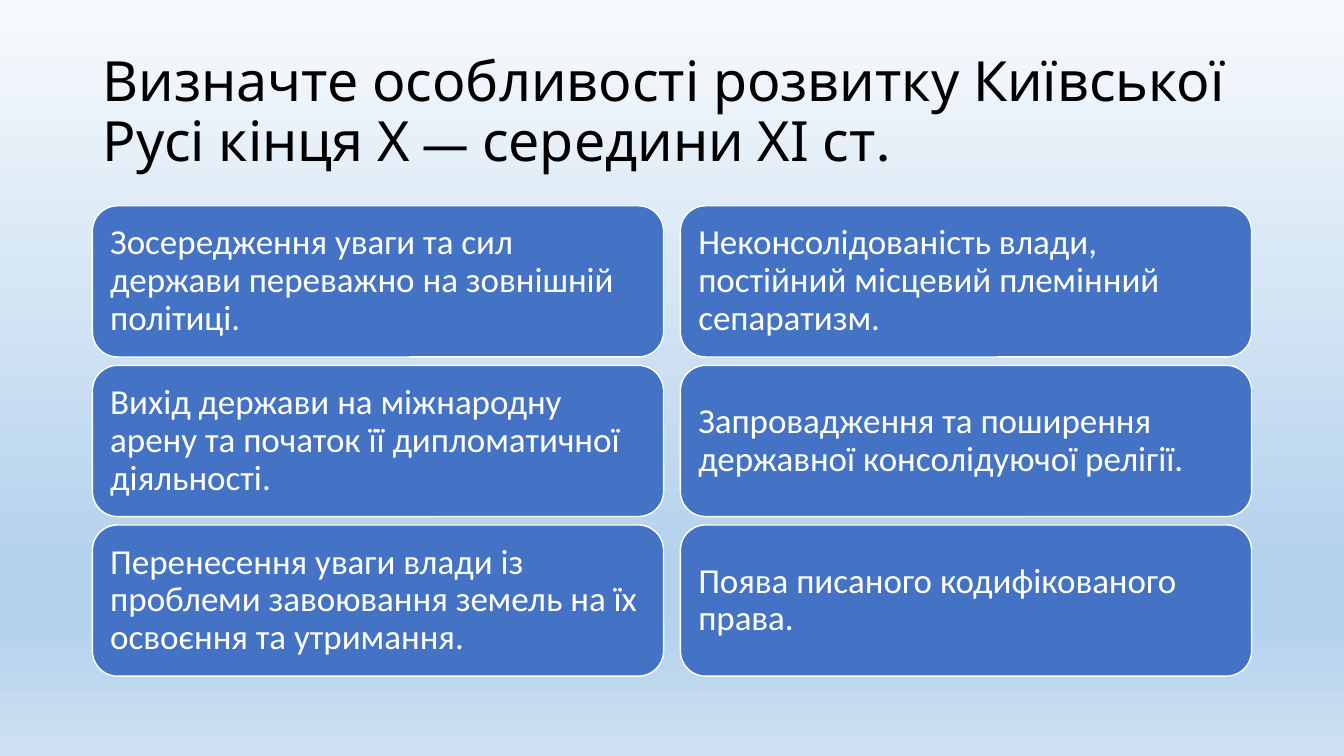
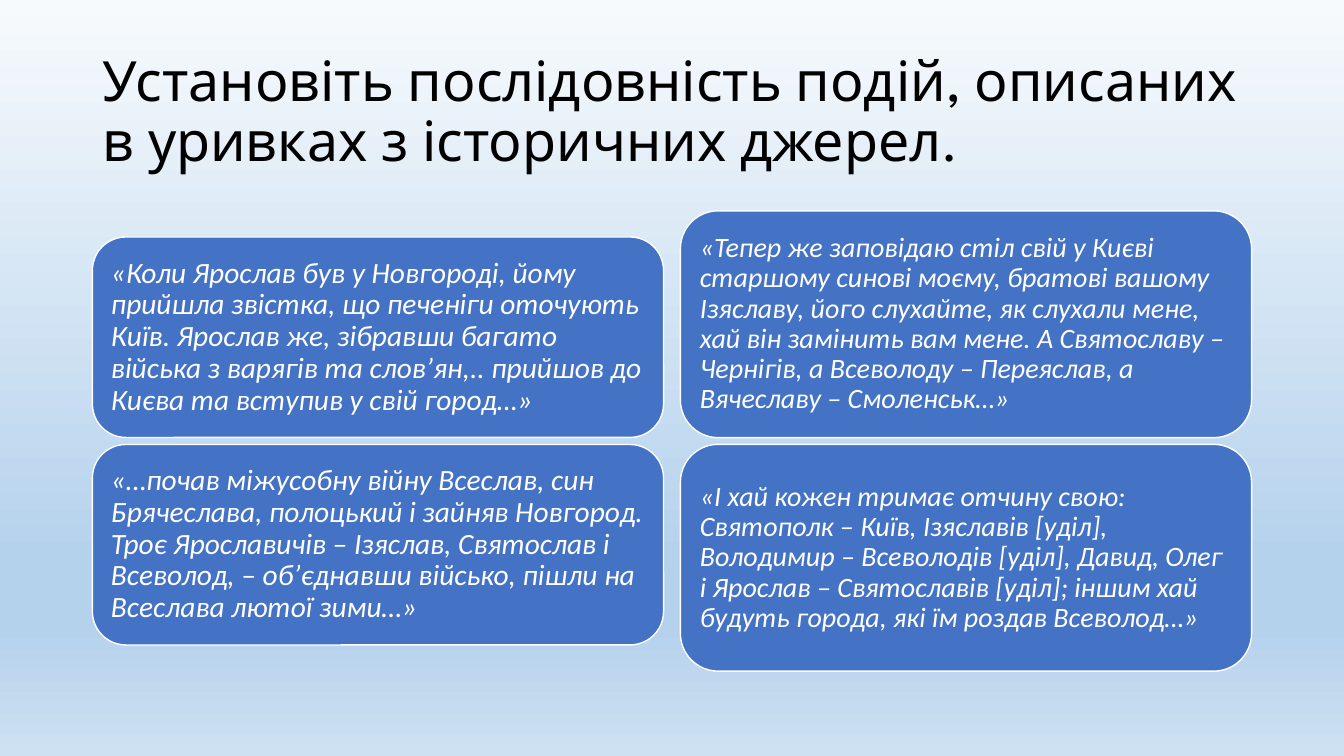
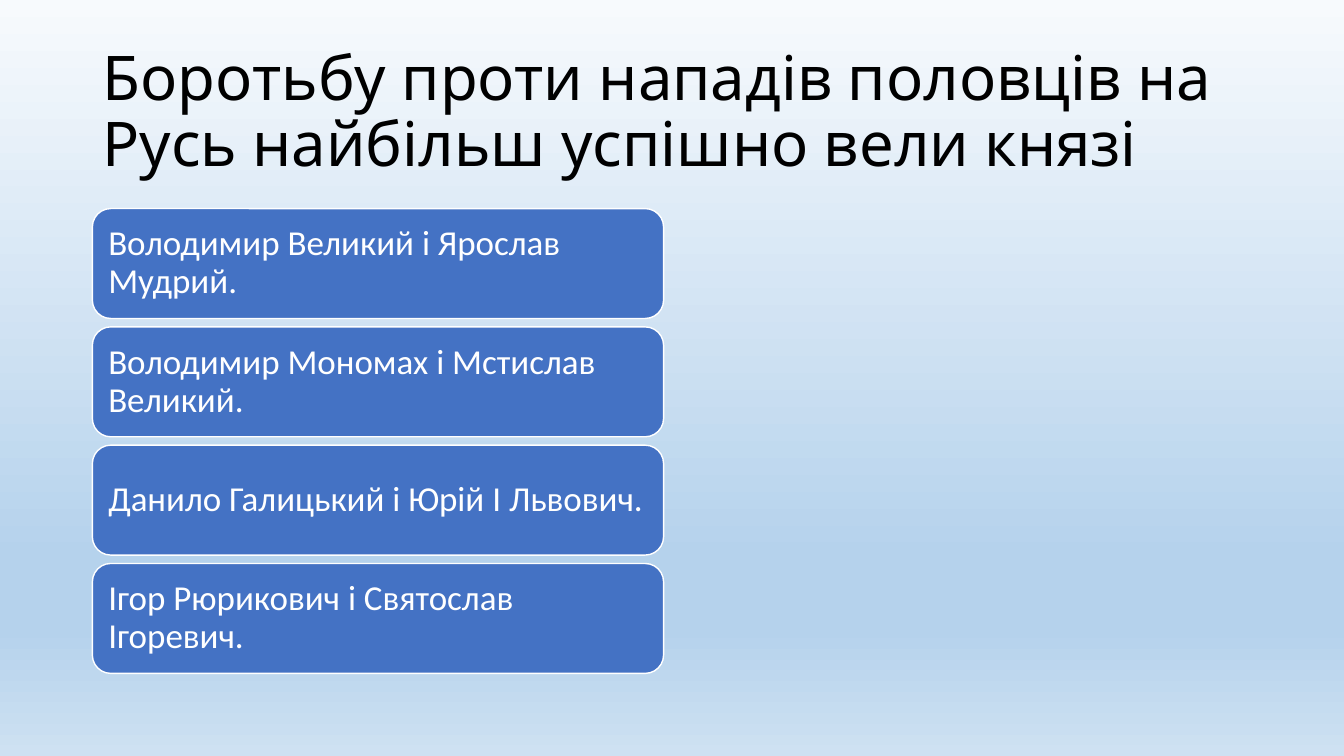
from lxml.etree import SubElement
from pptx import Presentation
from pptx.dml.color import RGBColor
from pptx.enum.shapes import MSO_SHAPE as Preset
from pptx.enum.text import MSO_ANCHOR as Anchor, MSO_AUTO_SIZE as AutoSize, PP_ALIGN as Align
from pptx.oxml.ns import qn
from pptx.util import Pt

BLACK = RGBColor(0x00, 0x00, 0x00)
WHITE = RGBColor(0xFF, 0xFF, 0xFF)
CARD_BLUE = RGBColor(0x44, 0x72, 0xC4)
SKY_TOP = RGBColor(0xF7, 0xFA, 0xFD)
SKY_DEEP = RGBColor(0xB5, 0xD2, 0xEC)
SKY_FOOT = RGBColor(0xCE, 0xE1, 0xF2)
SKY_STOPS = [(0, SKY_TOP), (74, SKY_DEEP), (83, SKY_DEEP), (100, SKY_FOOT)]

TITLE_FONT = "League Spartan"
BODY_FONT = "Calibri"
TITLE_ONLY = 5

LEFT, CONTENT_WIDTH = 66, 828
TITLE_BOX = (LEFT, 28.75, CONTENT_WIDTH, 104.4)
BODY_TOP, BODY_HEIGHT = 144, 342
COLUMN_GAP = 12
COLUMN_WIDTH = (CONTENT_WIDTH - COLUMN_GAP) / 2

FEATURES = [
    [
        "Зосередження уваги та сил держави переважно на зовнішній політиці.",
        "Вихід держави на міжнародну арену та початок її дипломатичної діяльності.",
        "Перенесення уваги влади із проблеми завоювання земель на їх освоєння та утримання.",
    ],
    [
        "Неконсолідованість влади, постійний місцевий племінний сепаратизм.",
        "Запровадження та поширення державної консолідуючої релігії.",
        "Поява писаного кодифікованого права.",
    ],
]
EARLY_QUOTES = [
    "«Коли Ярослав був у Новгороді, йому прийшла звістка, що печеніги оточують Київ. "
    "Ярослав же, зібравши багато війська з варягів та слов’ян,.. прийшов до Києва "
    "та вступив у свій город…»",
    "«…почав міжусобну війну Всеслав, син Брячеслава, полоцький і зайняв Новгород. "
    "Троє Ярославичів – Ізяслав, Святослав і Всеволод, – об’єднавши військо, "
    "пішли на Всеслава лютої зими…»",
]
TESTAMENT_QUOTES = [
    "«Тепер же заповідаю стіл свій у Києві старшому синові моєму, братові вашому "
    "Ізяславу, його слухайте, як слухали мене, хай він замінить вам мене. "
    "А Святославу – Чернігів, а Всеволоду – Переяслав, а Вячеславу – Смоленськ…»",
    "«І хай кожен тримає отчину свою: Святополк – Київ, Ізяславів [уділ], "
    "Володимир – Всеволодів [уділ], Давид, Олег і Ярослав – Святославів [уділ]; "
    "іншим хай будуть города, які їм роздав Всеволод…»",
]
PRINCES = [
    "Володимир Великий і Ярослав Мудрий.",
    "Володимир Мономах і Мстислав Великий.",
    "Данило Галицький і Юрій І Львович.",
    "Ігор Рюрикович і Святослав Ігоревич.",
]


def paint_background(master):
    """Give every slide the vertical sky gradient through the master."""
    sky = master.background.fill
    sky.gradient()
    sky.gradient_angle = 270
    stops = master.element.cSld.find(".//" + qn("a:gsLst"))
    for default_stop in list(stops):
        stops.remove(default_stop)
    for percent, colour in SKY_STOPS:
        stop = SubElement(stops, qn("a:gs"), pos=str(percent * 1000))
        SubElement(stop, qn("a:srgbClr"), val=str(colour))


def write_text(frame, text, font_name, size, colour):
    """Write one left-aligned, vertically centred paragraph."""
    frame.text = text
    frame.word_wrap = True
    frame.auto_size = AutoSize.NONE
    frame.vertical_anchor = Anchor.MIDDLE
    paragraph = frame.paragraphs[0]
    paragraph.alignment = Align.LEFT
    paragraph.line_spacing = 0.9
    font = paragraph.font
    font.name, font.size = font_name, Pt(size)
    font.color.rgb = colour
    return font


def add_titled_slide(deck, heading, size):
    """Add a title-only slide with its heading in place."""
    slide = deck.slides.add_slide(deck.slide_layouts[TITLE_ONLY])
    title = slide.shapes.title
    title.left, title.top, title.width, title.height = map(Pt, TITLE_BOX)
    write_text(title.text_frame, heading, TITLE_FONT, size, BLACK)
    return slide


def add_card(slide, box, text, size, italic):
    """Draw one rounded card with its text inside."""
    card = slide.shapes.add_shape(Preset.ROUNDED_RECTANGLE, *map(Pt, box))
    card.shadow.inherit = False
    card.fill.solid()
    card.fill.fore_color.rgb = CARD_BLUE
    card.line.color.rgb = WHITE
    card.line.width = Pt(1)
    frame = card.text_frame
    frame.margin_left = frame.margin_right = Pt(0.3 * size)
    frame.margin_top = frame.margin_bottom = Pt(0.3 * size)
    write_text(frame, text, BODY_FONT, size, WHITE).italic = italic


def add_card_column(slide, column, texts, card_height, size, italic=False):
    """Stack cards in a column of the body, centred vertically."""
    left = LEFT + column * (COLUMN_WIDTH + COLUMN_GAP)
    pitch = card_height + 0.24 * size
    stack_height = pitch * (len(texts) - 1) + card_height
    top = BODY_TOP + (BODY_HEIGHT - stack_height) / 2
    for row, text in enumerate(texts):
        box = (left, top + row * pitch, COLUMN_WIDTH, card_height)
        add_card(slide, box, text, size, italic)


def main():
    """Build the three slides and save them."""
    deck = Presentation()
    deck.slide_width, deck.slide_height = Pt(960), Pt(540)
    paint_background(deck.slide_master)

    features = add_titled_slide(
        deck, "Визначте особливості розвитку Київської Русі кінця Х — середини ХІ ст.", 39.6)
    for column, texts in enumerate(FEATURES):
        add_card_column(features, column, texts, 108, 25)

    sources = add_titled_slide(
        deck, "Установіть послідовність подій, описаних в уривках з історичних джерел.", 39.6)
    add_card_column(sources, 0, EARLY_QUOTES, 143.2, 21, italic=True)
    add_card_column(sources, 1, TESTAMENT_QUOTES, 162, 20, italic=True)

    princes = add_titled_slide(
        deck, "Боротьбу проти нападів половців на Русь найбільш успішно вели князі", 44)
    add_card_column(princes, 0, PRINCES, 78.5, 25)

    deck.save("out.pptx")


if __name__ == "__main__":
    main()
